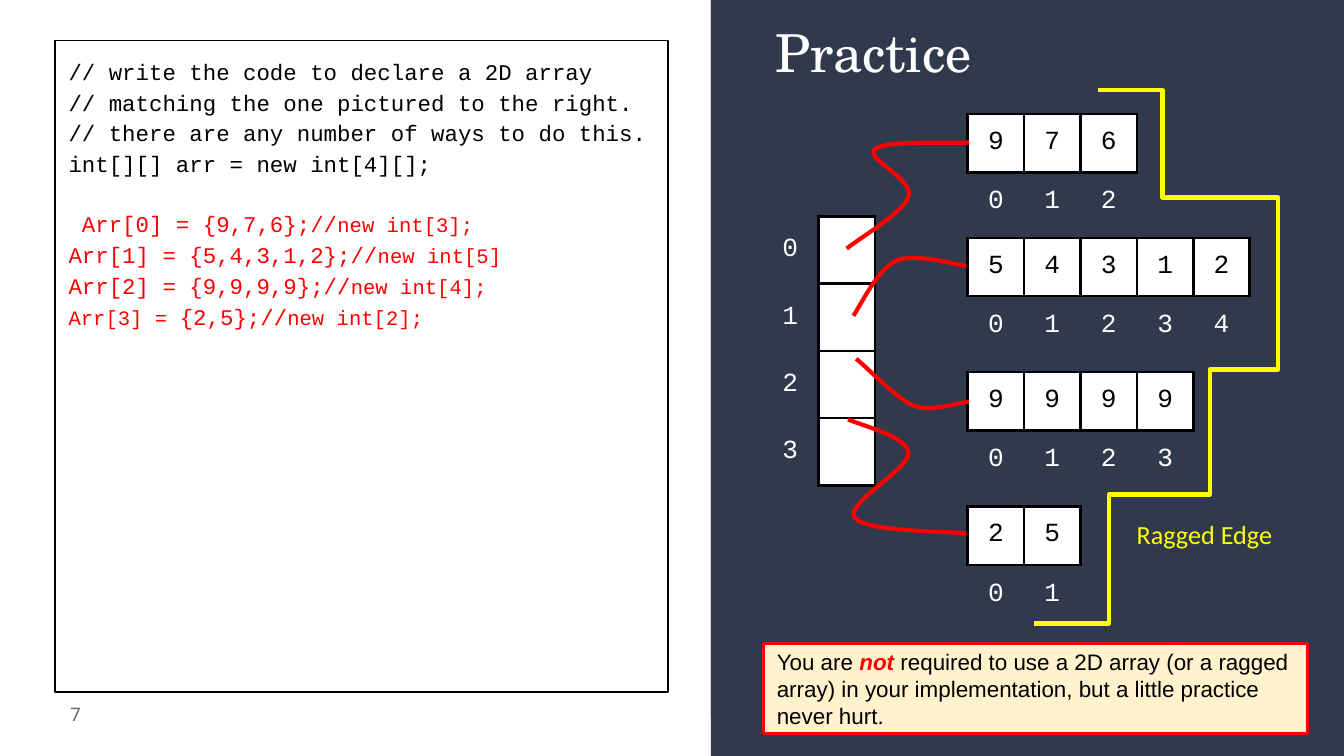
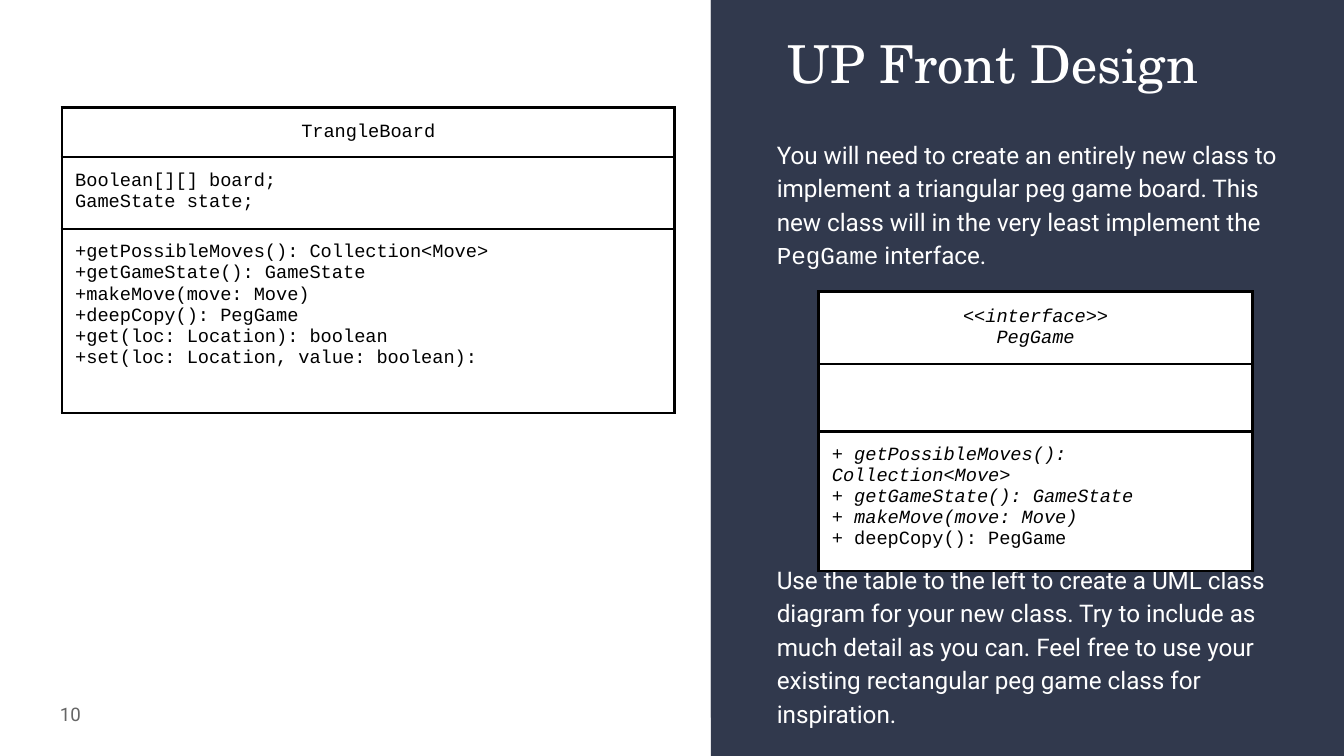
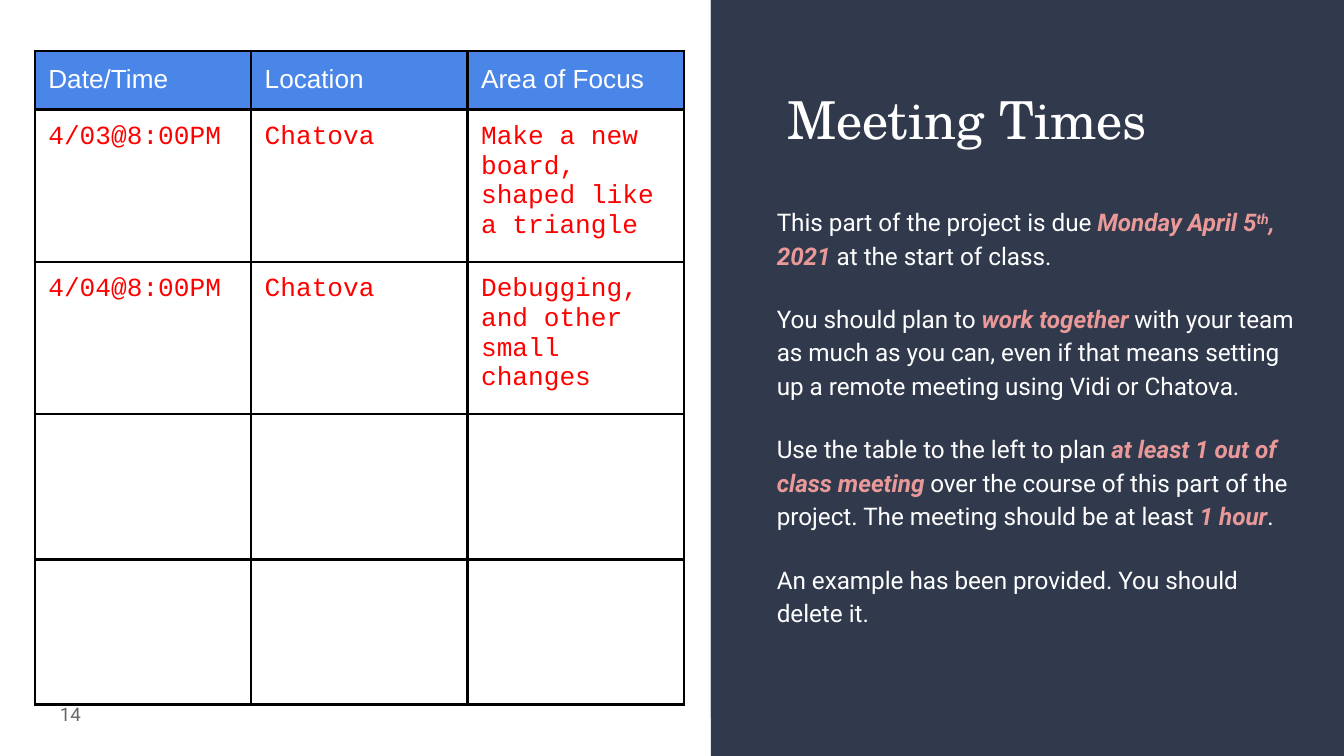
from lxml import etree
from pptx import Presentation
from pptx.dml.color import RGBColor
from pptx.enum.shapes import MSO_SHAPE
from pptx.enum.text import MSO_ANCHOR, MSO_AUTO_SIZE, PP_ALIGN
from pptx.oxml.ns import qn
from pptx.util import Inches, Pt

LEFT, CENTER, RIGHT = PP_ALIGN.LEFT, PP_ALIGN.CENTER, PP_ALIGN.RIGHT
TOP, MIDDLE = MSO_ANCHOR.TOP, MSO_ANCHOR.MIDDLE
FIXED, GROW = MSO_AUTO_SIZE.NONE, MSO_AUTO_SIZE.SHAPE_TO_FIT_TEXT
RECTANGLE = MSO_SHAPE.RECTANGLE

# Square grid: 100 columns across the slide, 56.25 rows down
WIDTH = Inches(10)
HEIGHT = WIDTH * 9 // 16
UNIT = WIDTH // 100
BAND_LEFT = 52.9
PANEL_LEFT, PANEL_WIDTH = 56.8, 40.5
CELL = 4.2
INSET = 1

COLORS = {
    "navy": "31394D", "white": "FFFFFF", "black": "000000", "red": "FF0000",
    "yellow": "FFFF00", "cream": "FFF2CC", "blue": "4A86E8", "pink": "EA9999",
    "gray": "666666",
}

# Text styles
TITLE = {"font": "TeX Gyre Schola", "size": 28, "color": "white"}
PROSE = {"font": "Roboto", "size": 13, "color": "white"}
NUMBER = {"font": "Roboto", "size": 10, "color": "gray"}
CODE = {"font": "Courier New", "size": 12, "color": "black"}
UML = {**CODE, "size": 10}
VALUE = {**CODE, "size": 14}
INDEX = {**VALUE, "color": "white"}
ENTRY = {**VALUE, "color": "red"}
HEADING = {"font": "Arial", "size": 14, "color": "white"}
NOTE = {"font": "Arial", "size": 12, "color": "black"}
EDGE_LABEL = {"font": "Calibri", "size": 14, "color": "yellow"}
STRONG = {"color": "pink", "bold": True, "italic": True}
ITALIC = {"italic": True}


def units(number):
    return round(number * UNIT)


def rgb(name):
    return RGBColor.from_string(COLORS[name])


# ---- Text ----
def add_run(paragraph, text, style):
    run = paragraph.add_run()
    run.text = text
    font = run.font
    font.name, font.size = style["font"], Pt(style["size"])
    font.color.rgb = rgb(style["color"])
    font.bold = style.get("bold", False)
    font.italic = style.get("italic", False)
    if "baseline" in style:
        run._r.get_or_add_rPr().set("baseline", str(style["baseline"]))


def write(frame, paragraphs, style, align=LEFT, spacing=1.0, gap=0):
    """Each paragraph is a list of strings or (string, style changes)."""
    for number, runs in enumerate(paragraphs):
        paragraph = frame.add_paragraph() if number else frame.paragraphs[0]
        paragraph.alignment = align
        paragraph.line_spacing = spacing
        paragraph.space_before = Pt(gap if number else 0)
        for run in runs:
            text, changes = (run, {}) if isinstance(run, str) else run
            add_run(paragraph, text, {**style, **changes})


def set_frame(frame, anchor=TOP, auto_size=FIXED):
    frame.word_wrap = True
    frame.auto_size = auto_size
    frame.vertical_anchor = anchor
    frame.margin_left = frame.margin_right = units(INSET)
    frame.margin_top = frame.margin_bottom = units(INSET)


def place(shape, left, top, width, height):
    shape.left, shape.top = units(left), units(top)
    shape.width, shape.height = units(width), units(height)


def set_title(slide, text, left, top):
    title = slide.shapes.title
    place(title, left, top, PANEL_WIDTH, 7)
    set_frame(title.text_frame)
    write(title.text_frame, [[text]], TITLE)


def set_body(slide, index, box, paragraphs, style, anchor=TOP,
             auto_size=GROW, spacing=1.15, gap=0):
    body = slide.placeholders[index]
    place(body, *box)
    set_frame(body.text_frame, anchor, auto_size)
    write(body.text_frame, paragraphs, style, spacing=spacing, gap=gap)
    for paragraph in body.text_frame.paragraphs:
        properties = paragraph._p.get_or_add_pPr()
        properties.set("marL", "0")
        properties.set("indent", "0")
        etree.SubElement(properties, qn("a:buNone"))
    return body


def add_label(slide, box, text, style, align=LEFT, anchor=TOP):
    label = slide.shapes.add_textbox(*map(units, box))
    set_frame(label.text_frame, anchor)
    write(label.text_frame, [[text]], style, align)


# ---- Lines ----
def outline(shape, color, width):
    shape.line.color.rgb = rgb(color)
    shape.line.width = Pt(width)


def trace(slide, points, close=False):
    start, *rest = [(units(x), units(y)) for x, y in points]
    builder = slide.shapes.build_freeform(*start)
    builder.add_line_segments(rest, close=close)
    shape = builder.convert_to_shape()
    shape.shadow.inherit = False
    return shape


def add_open_line(slide, points, color):
    line = trace(slide, points)
    line.fill.background()
    outline(line, color, 2.25)
    return line


def add_curve(slide, points, color):
    """After the start, every three points make one Bezier segment."""
    curve = add_open_line(slide, points, color)
    steps = list(curve._element.iter(qn("a:lnTo")))
    for first in range(0, len(steps), 3):
        bezier = etree.Element(qn("a:cubicBezTo"))
        steps[first].addprevious(bezier)
        for step in steps[first:first + 3]:
            bezier.append(step[0])
            step.getparent().remove(step)


# ---- Tables ----
def add_grid(slide, left, top, columns, rows):
    frame = slide.shapes.add_table(
        len(rows), len(columns), units(left), units(top),
        units(sum(columns)), units(sum(rows)))
    table = frame.table
    table.first_row = table.horz_banding = False
    for column, width in zip(table.columns, columns):
        column.width = units(width)
    for row, height in zip(table.rows, rows):
        row.height = units(height)
    return table


def set_cell(cell, paragraphs, style, fill=None, sides="LRTB",
             align=LEFT, anchor=TOP):
    cell.margin_left = cell.margin_right = units(INSET)
    cell.margin_top = cell.margin_bottom = units(INSET)
    cell.vertical_anchor = anchor
    if fill:
        cell.fill.solid()
        cell.fill.fore_color.rgb = rgb(fill)
    else:
        cell.fill.background()
    write(cell.text_frame, paragraphs, style, align)
    properties = cell._tc.get_or_add_tcPr()
    for position, side in enumerate("LRTB"):
        border = etree.Element(qn(f"a:ln{side}"), w=str(Pt(1.5)))
        if side in sides:
            paint = etree.SubElement(border, qn("a:solidFill"))
            etree.SubElement(paint, qn("a:srgbClr"), val=COLORS["black"])
        else:
            etree.SubElement(border, qn("a:noFill"))
        properties.insert(position, border)


def add_index_column(slide, left, top, count):
    table = add_grid(slide, left, top, [CELL] * 2, [CELL] * count)
    for row in range(count):
        set_cell(table.cell(row, 0), [[str(row)]], INDEX, sides="R",
                 align=CENTER, anchor=MIDDLE)
        set_cell(table.cell(row, 1), [], VALUE, "white")


def add_array(slide, left, top, values):
    table = add_grid(slide, left, top, [CELL] * len(values), [CELL] * 2)
    for column, value in enumerate(values):
        set_cell(table.cell(0, column), [[str(value)]], VALUE, "white",
                 align=CENTER)
        set_cell(table.cell(1, column), [[str(column)]], INDEX, sides="T",
                 align=CENTER, anchor=MIDDLE)


def add_uml_class(slide, left, top, width, heights, name, fields, methods):
    table = add_grid(slide, left, top, [width], heights)
    set_cell(table.cell(0, 0), name, UML, "white", align=CENTER, anchor=MIDDLE)
    for row, members in enumerate((fields, methods), 1):
        set_cell(table.cell(row, 0), members, UML, "white")


# ---- Shared parts ----
def add_band(slide, layout):
    """Draw the dark right half and move it behind everything on the layout."""
    right = 100
    band = slide.shapes.add_shape(
        RECTANGLE, units(BAND_LEFT), 0, units(right - BAND_LEFT), HEIGHT)
    band.shadow.inherit = False
    wedge = trace(slide, [(BAND_LEFT, 0), (right, 0), (right, 38.4),
                          (BAND_LEFT, 53.4)], close=True)
    for position, part in enumerate((band, wedge), 2):
        part.fill.solid()
        part.fill.fore_color.rgb = rgb("navy")
        part.line.fill.background()
        layout.shapes._spTree.insert(position, part._element)


def add_page(deck, layout, number, title, title_left, title_top):
    slide = deck.slides.add_slide(layout)
    set_title(slide, title, title_left, title_top)
    add_label(slide, (1, 51, 6, 4.3), number, NUMBER, RIGHT, MIDDLE)
    return slide


# ---- Slides ----
def build_practice(slide):
    small = {"size": 11}
    red, small_red = {"color": "red"}, {"color": "red", **small}
    code = set_body(slide, 1, (4.1, 3, 45.6, 48.5), [
        ["// write the code to declare a 2D array"],
        ["// matching the one pictured to the right."],
        ["// there are any number of ways to do this."],
        ["int[][] arr = new int[4][];"],
        [(" Arr[0] = {9,7,6};//", red), ("new int[3];", small_red)],
        [("Arr[1] = {5,4,3,1,2};//", red), ("new int[5]", small_red)],
        [("Arr[2] = {9,9,9,9};//", red), ("new int[4];", small_red)],
        [("Arr[3] = ", small_red), ("{2,5};//", red),
         ("new int[2];", small_red)],
    ], CODE, auto_size=FIXED)
    code.text_frame.paragraphs[4].space_before = Pt(15.6)
    outline(code, "black", 0.75)

    note = set_body(slide, 2, (PANEL_LEFT, 47.7, PANEL_WIDTH, 7.1), [[
        "You are ", ("not ", {"color": "red", "bold": True, "italic": True}),
        "required to use a 2D array (or a ragged array) in your "
        "implementation, but a little practice never hurt.",
    ]], NOTE, MIDDLE, spacing=1.0)
    note.fill.solid()
    note.fill.fore_color.rgb = rgb("cream")
    outline(note, "red", 1.5)

    # Ragged array: index column, rows and the pointers between them
    add_index_column(slide, 56.7, 16.1, 4)
    for top, values in ((8.5, (9, 7, 6)), (17.7, (5, 4, 3, 1, 2)),
                        (27.7, (9, 9, 9, 9)), (37.7, (2, 5))):
        add_array(slide, 72, top, values)
    pointers = [
        [(63, 18.5), (63.8, 17.8), (67.3, 15.8), (67.6, 14.6), (68, 13.3),
         (64.3, 11.8), (65.1, 11.1), (65.8, 10.4), (71, 10.7), (72.1, 10.6)],
        [(63.5, 23.5), (64, 22.8), (65.3, 20), (66.7, 19.4), (68.1, 18.8),
         (71.1, 19.7), (71.9, 19.8)],
        [(63.7, 26.7), (64.4, 27.2), (66.6, 29.6), (68, 30.2), (69.4, 30.7),
         (71.4, 29.9), (72.1, 29.9)],
        [(63.1, 31.2), (63.9, 31.6), (67.6, 32.5), (67.6, 33.7), (67.7, 34.9),
         (62.8, 37.5), (63.6, 38.5), (64.3, 39.6), (70.5, 39.5), (71.9, 39.7)],
    ]
    for pointer in pointers:
        add_curve(slide, pointer, "red")
    add_open_line(slide, [
        (81.7, 6.7), (86.5, 6.7), (86.5, 14.7), (95.1, 14.7), (95.1, 27.5),
        (90, 27.5), (90, 36.8), (82.5, 36.8), (82.5, 46.4), (76.9, 46.4),
    ], "yellow")
    add_label(slide, (83.6, 37.6, 12.6, 4.4), "Ragged Edge", EDGE_LABEL)


def build_design(slide):
    set_body(slide, 1, (PANEL_LEFT, 9.1, PANEL_WIDTH, 11.8), [[
        "You will need to create an entirely new class to implement a "
        "triangular peg game board. This new class will in the very least "
        "implement the ", ("PegGame", {"font": "Courier New"}), " interface.",
    ]], PROSE)
    set_body(slide, 2, (PANEL_LEFT, 40.7, PANEL_WIDTH, 14.3), [[
        "Use the table to the left to create a UML class diagram for your new "
        "class. Try to include as much detail as you can. Feel free to use "
        "your existing rectangular peg game class for inspiration.",
    ]], PROSE)
    add_uml_class(
        slide, 60.9, 21.7, 32.3, (5.4, 5, 10.4),
        [[("<<interface>>", ITALIC)], [("PegGame", ITALIC)]], [],
        [[("+ getPossibleMoves(): Collection<Move>", ITALIC)],
         [("+ getGameState(): GameState", ITALIC)],
         [("+ makeMove(move: Move)", ITALIC)],
         ["+ deepCopy(): PegGame"]])
    add_uml_class(
        slide, 4.6, 8, 45.6, (3.7, 5.3, 13.7), [["TrangleBoard"]],
        [["Boolean[][] board;"], ["GameState state;"]],
        [["+getPossibleMoves(): Collection<Move>"],
         ["+getGameState(): GameState"],
         ["+makeMove(move: Move)"],
         ["+deepCopy(): PegGame"],
         ["+get(loc: Location): boolean"],
         ["+set(loc: Location, value: boolean):"]])


def build_meetings(slide):
    set_body(slide, 1, (PANEL_LEFT, 14.1, PANEL_WIDTH, 36.1), [
        ["This part of the project is due ", ("Monday April 5", STRONG),
         ("th", {**STRONG, "baseline": 30000}), (", 2021", STRONG),
         " at the start of class."],
        ["You should plan to ", ("work together ", STRONG),
         "with your team as much as you can, even if that means setting up a "
         "remote meeting using Vidi or Chatova."],
        ["Use the table to the left to plan ",
         ("at least 1 out of class meeting ", STRONG),
         "over the course of this part of the project. The meeting should be "
         "at least ", ("1 hour", STRONG), "."],
        ["An example has been provided. You should delete it."],
    ], PROSE, gap=16)
    unused = slide.placeholders[2]._element
    unused.getparent().remove(unused)

    schedule = [
        ("Date/Time", "Location", "Area of Focus"),
        ("4/03@8:00PM", "Chatova", "Make a new board, shaped like a triangle"),
        ("4/04@8:00PM", "Chatova", "Debugging, and other small changes"),
        ("", "", ""),
        ("", "", ""),
    ]
    table = add_grid(slide, 2.6, 3.8, [16.1] * 3, [4.3] + [11.3] * 2 + [10.8] * 2)
    for row, entries in enumerate(schedule):
        style, fill = (ENTRY, None) if row else (HEADING, "blue")
        for column, entry in enumerate(entries):
            set_cell(table.cell(row, column), [[entry]] if entry else [],
                     style, fill)


def main():
    deck = Presentation()
    deck.slide_width, deck.slide_height = WIDTH, HEIGHT
    layout = deck.slide_layouts.get_by_name("Two Content")
    practice = add_page(deck, layout, "7", "Practice", 56.7, 0.5)
    add_band(practice, layout)
    build_practice(practice)
    build_design(add_page(deck, layout, "10", "UP Front Design", 57.6, 1.3))
    build_meetings(add_page(deck, layout, "14", "Meeting Times", 57.6, 5.5))
    deck.save("out.pptx")


if __name__ == "__main__":
    main()
